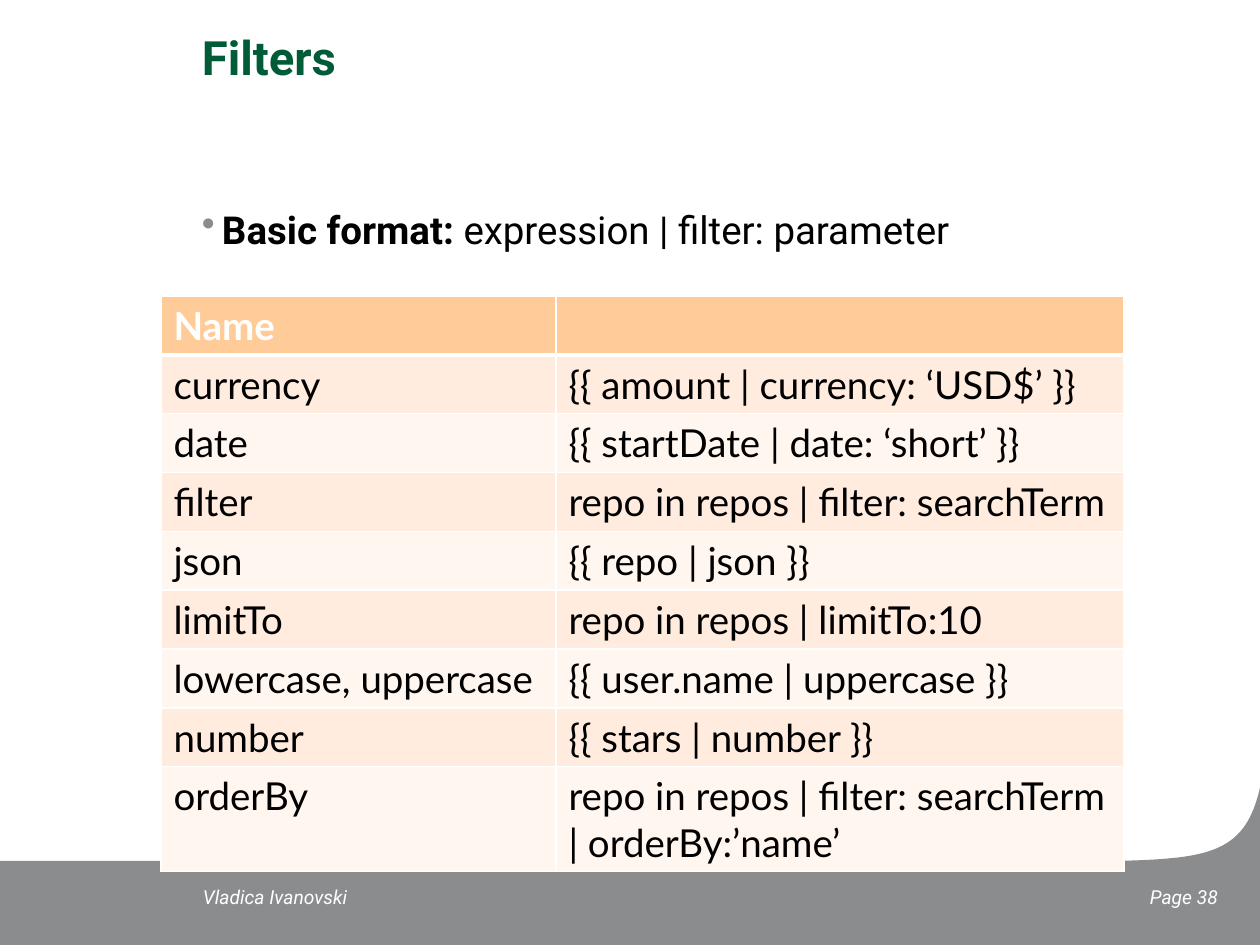
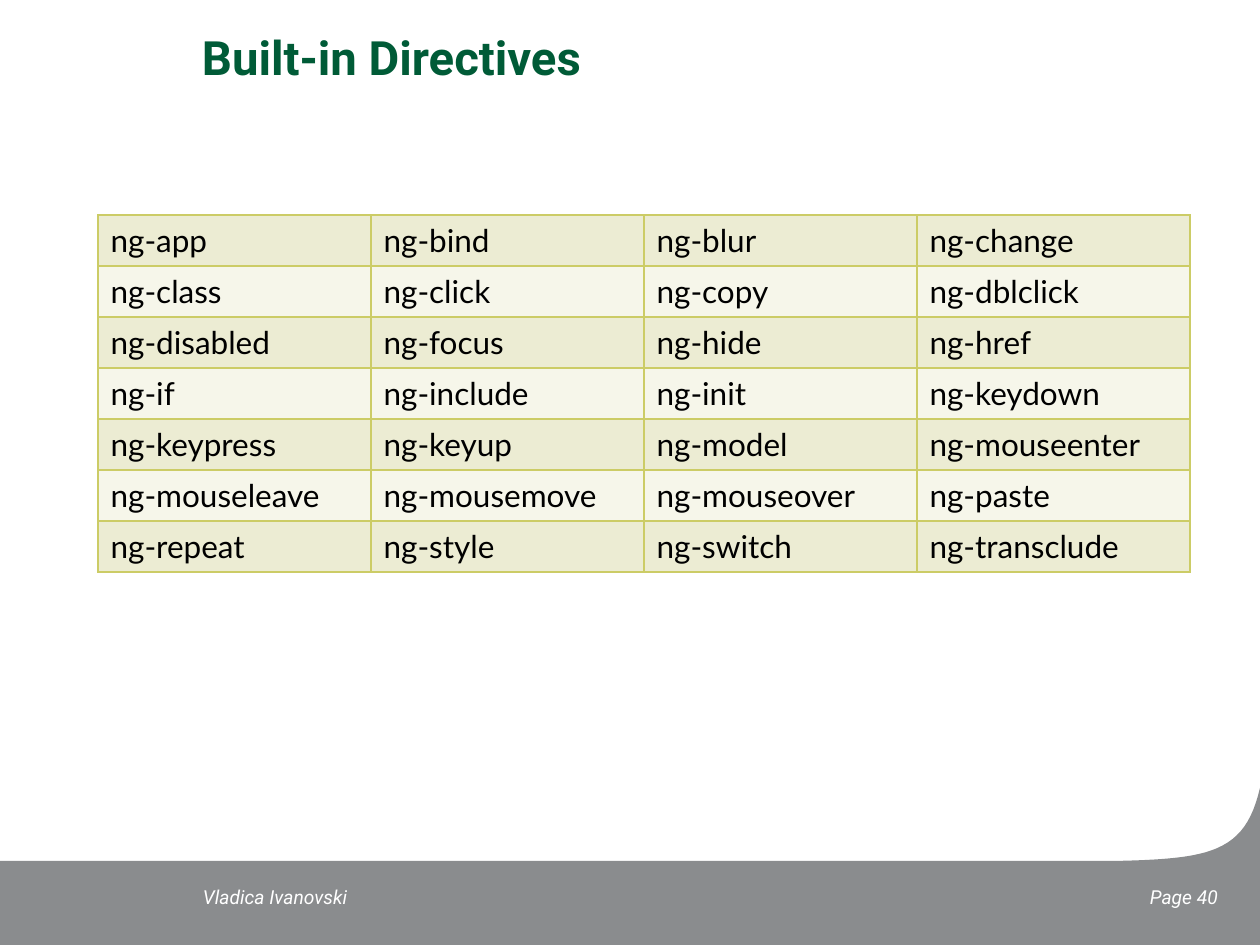
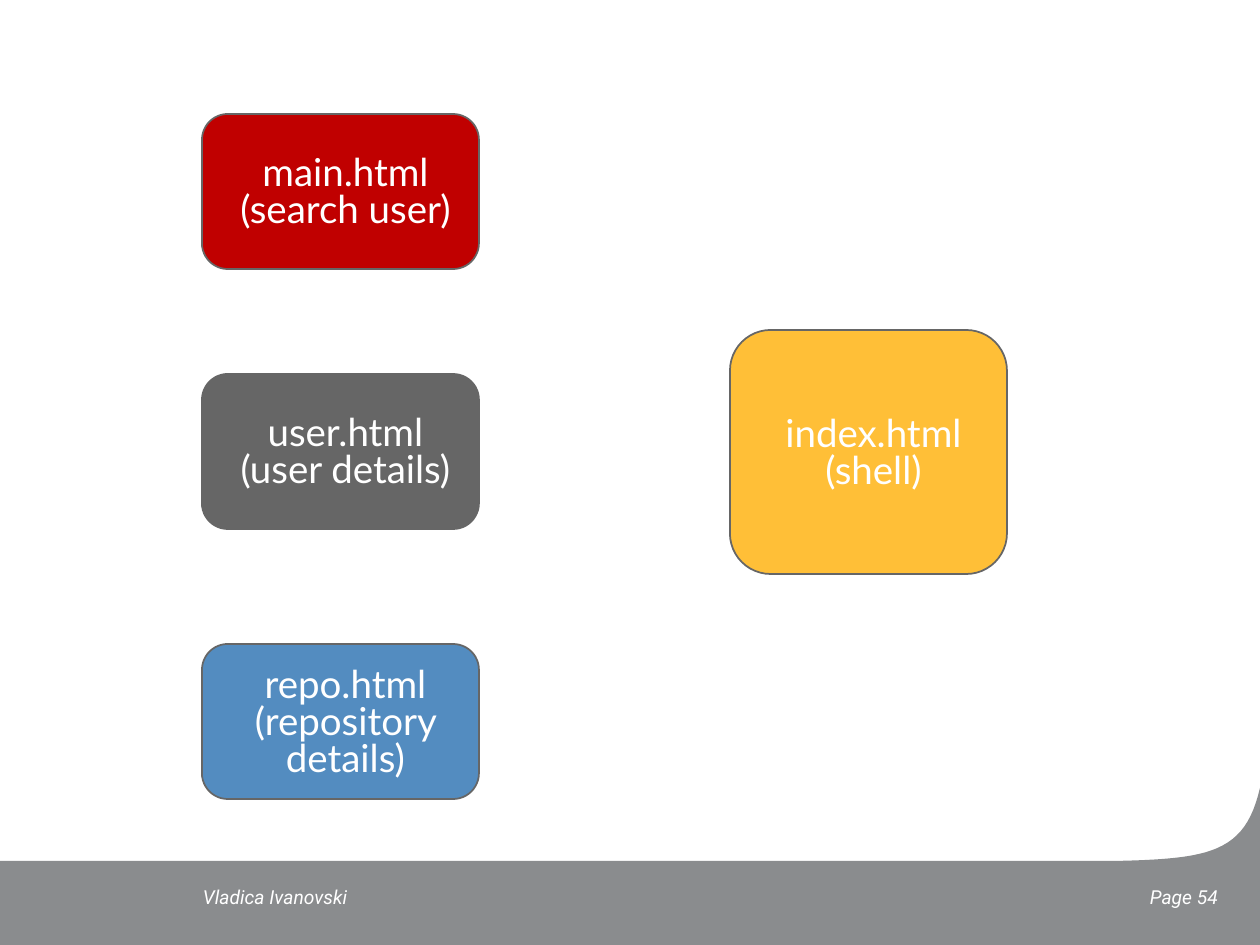
from lxml.etree import SubElement
from pptx import Presentation
from pptx.dml.color import RGBColor
from pptx.enum.shapes import MSO_SHAPE
from pptx.enum.text import MSO_ANCHOR, MSO_AUTO_SIZE, PP_ALIGN
from pptx.oxml.ns import qn
from pptx.util import Pt

PX = 7257
COLORS = {
    "white": "FFFFFF", "black": "000000", "green": "005B37", "band": "8A8C8E",
    "header": "FFCC99", "peach": "FFECDE", "cream": "FFF6EF",
    "olive": "CCCC66", "sage": "ECECD3", "ivory": "F6F6EA",
    "red": "C00000", "gray": "666666", "blue": "538CC0", "amber": "FFBF37",
}


def style(para, name, size, color, bold=False, italic=False):
    para.font.name = name
    para.font.size = Pt(size)
    para.font.bold = bold
    para.font.italic = italic
    para.font.color.rgb = RGBColor.from_string(COLORS[color])


def add_grid(page, left, top, widths, row_height, rows, size, border, fills, has_header):
    frame = page.shapes.add_table(len(rows), len(widths), left * PX, top * PX,
                                  sum(widths) * PX, len(rows) * row_height * PX)
    table = frame.table
    table.first_row = table.horz_banding = False
    for column, width in zip(table.columns, widths):
        column.width = width * PX
    for row_index, words in enumerate(rows):
        table.rows[row_index].height = row_height * PX
        is_header = has_header and row_index == 0
        heavy_edge = "lnB" if is_header else "lnT" if has_header and row_index == 1 else None
        for column_index, text in enumerate(words):
            cell = table.cell(row_index, column_index)
            properties = cell._tc.get_or_add_tcPr()
            for edge in ("lnL", "lnR", "lnT", "lnB"):
                width = Pt(3 if edge == heavy_edge else 1)
                line = SubElement(properties, qn(f"a:{edge}"), w=str(width))
                paint = SubElement(line, qn("a:solidFill"))
                SubElement(paint, qn("a:srgbClr"), val=COLORS[border])
            cell.fill.solid()
            fill = "header" if is_header else fills[(row_index - has_header) % 2]
            cell.fill.fore_color.rgb = RGBColor.from_string(COLORS[fill])
            para = cell.text_frame.paragraphs[0]
            para.text = text
            style(para, "Lato", size, "white" if is_header else "black", bold=is_header)


deck = Presentation()
deck.slide_width = 1260 * PX
deck.slide_height = 945 * PX

curve = [(1113, 861), (1210, 859), (1245, 853), (1260, 788)]
curve_points = []
for step in range(25):
    t = step / 24
    weights = [(1 - t) ** 3, 3 * t * (1 - t) ** 2, 3 * t * t * (1 - t), t ** 3]
    curve_points.append(tuple(sum(weight * point[axis] for weight, point in zip(weights, curve)) * PX
                              for axis in (0, 1)))
corners = [(1260 * PX, 945 * PX), (0, 945 * PX)]

pages = []
for title, number in (("Filters", 38), ("Built-in Directives", 40), (None, 54)):
    page = deck.slides.add_slide(deck.slide_layouts[5 if title else 6])
    pages.append(page)

    outline = page.shapes.build_freeform(0, 861 * PX)
    outline.add_line_segments(curve_points + corners, close=True)
    band = outline.convert_to_shape()
    band.shadow.inherit = False
    band.fill.solid()
    band.fill.fore_color.rgb = RGBColor.from_string(COLORS["band"])
    band.line.fill.background()

    if title:
        heading = page.shapes.title
        heading.left, heading.top, heading.width, heading.height = 202 * PX, 39 * PX, 1018 * PX, 140 * PX
        frame = heading.text_frame
        frame.margin_left = frame.margin_top = frame.margin_right = frame.margin_bottom = 0
        frame.vertical_anchor = MSO_ANCHOR.TOP
        frame.auto_size = MSO_AUTO_SIZE.NONE
        para = frame.paragraphs[0]
        para.text = title
        para.alignment = PP_ALIGN.LEFT
        para.line_spacing = 0.8
        style(para, "Roboto", 27, "green", bold=True)

    for text, left, width, alignment in (
        (f"Page {number}", 896, 322, PP_ALIGN.RIGHT),
        ("Vladica Ivanovski", 203, 410, PP_ALIGN.LEFT),
    ):
        footer = page.shapes.add_textbox(left * PX, 885 * PX, width * PX, 25 * PX)
        frame = footer.text_frame
        frame.word_wrap = True
        frame.margin_left = frame.margin_top = frame.margin_right = frame.margin_bottom = 0
        para = frame.paragraphs[0]
        para.text = text
        para.alignment = alignment
        style(para, "Roboto", 11, "white", italic=True)

filters_page, directives_page, views_page = pages

body = filters_page.shapes.add_textbox(202 * PX, 215 * PX, 1018 * PX, 622 * PX)
frame = body.text_frame
frame.word_wrap = True
frame.margin_left = frame.margin_top = frame.margin_right = frame.margin_bottom = 0
para = frame.paragraphs[0]
para.line_spacing = 0.8
para.space_after = Pt(6)
properties = para._p.get_or_add_pPr()
properties.set("marL", str(20 * PX))
properties.set("indent", str(-20 * PX))
bullet_color = SubElement(properties, qn("a:buClr"))
SubElement(bullet_color, qn("a:srgbClr"), val=COLORS["band"])
SubElement(properties, qn("a:buChar"), char="•")
style(para, "Roboto", 22, "black")
for text, bold in (("Basic format: ", True), ("expression | filter: parameter", False)):
    span = para.add_run()
    span.text = text
    span.font.bold = bold

filter_rows = [
    ("Name", ""),
    ("currency", "{{ amount | currency: ‘USD$’ }}"),
    ("date", "{{ startDate | date: ‘short’ }}"),
    ("filter", "repo in repos | filter: searchTerm"),
    ("json", "{{ repo | json }}"),
    ("limitTo", "repo in repos | limitTo:10"),
    ("lowercase, uppercase", "{{ user.name | uppercase }}"),
    ("number", "{{ stars | number }}"),
    ("orderBy", "repo in repos | filter: searchTerm | orderBy:’name’"),
]
add_grid(filters_page, 161, 296, [395, 568], 51, filter_rows, 22, "white", ("peach", "cream"), True)

directive_rows = [
    ("ng-app", "ng-bind", "ng-blur", "ng-change"),
    ("ng-class", "ng-click", "ng-copy", "ng-dblclick"),
    ("ng-disabled", "ng-focus", "ng-hide", "ng-href"),
    ("ng-if", "ng-include", "ng-init", "ng-keydown"),
    ("ng-keypress", "ng-keyup", "ng-model", "ng-mouseenter"),
    ("ng-mouseleave", "ng-mousemove", "ng-mouseover", "ng-paste"),
    ("ng-repeat", "ng-style", "ng-switch", "ng-transclude"),
]
add_grid(directives_page, 98, 215, [273] * 4, 51, directive_rows, 18, "olive", ("sage", "ivory"), False)

for name, role, fill, left, top, height in (
    ("repo.html", "(repository details)", "blue", 202, 644, 155),
    ("user.html", "(user details)", "gray", 202, 374, 155),
    ("main.html", "(search user)", "red", 202, 114, 155),
    ("index.html", "(shell)", "amber", 730, 330, 244),
):
    view = views_page.shapes.add_shape(MSO_SHAPE.ROUNDED_RECTANGLE,
                                       left * PX, top * PX, 277 * PX, height * PX)
    view.shadow.inherit = False
    view.fill.solid()
    view.fill.fore_color.rgb = RGBColor.from_string(COLORS[fill])
    view.line.color.rgb = RGBColor.from_string(COLORS["gray"])
    view.line.width = Pt(1)
    frame = view.text_frame
    frame.word_wrap = True
    frame.vertical_anchor = MSO_ANCHOR.MIDDLE
    frame.margin_left, frame.margin_top = 10 * PX, 5 * PX
    frame.margin_right = frame.margin_bottom = 0
    frame.text = f"{name}\n{role}"
    for para in frame.paragraphs:
        para.alignment = PP_ALIGN.CENTER
        para.line_spacing = 0.8
        style(para, "Lato", 22, "white")

deck.save("out.pptx")
